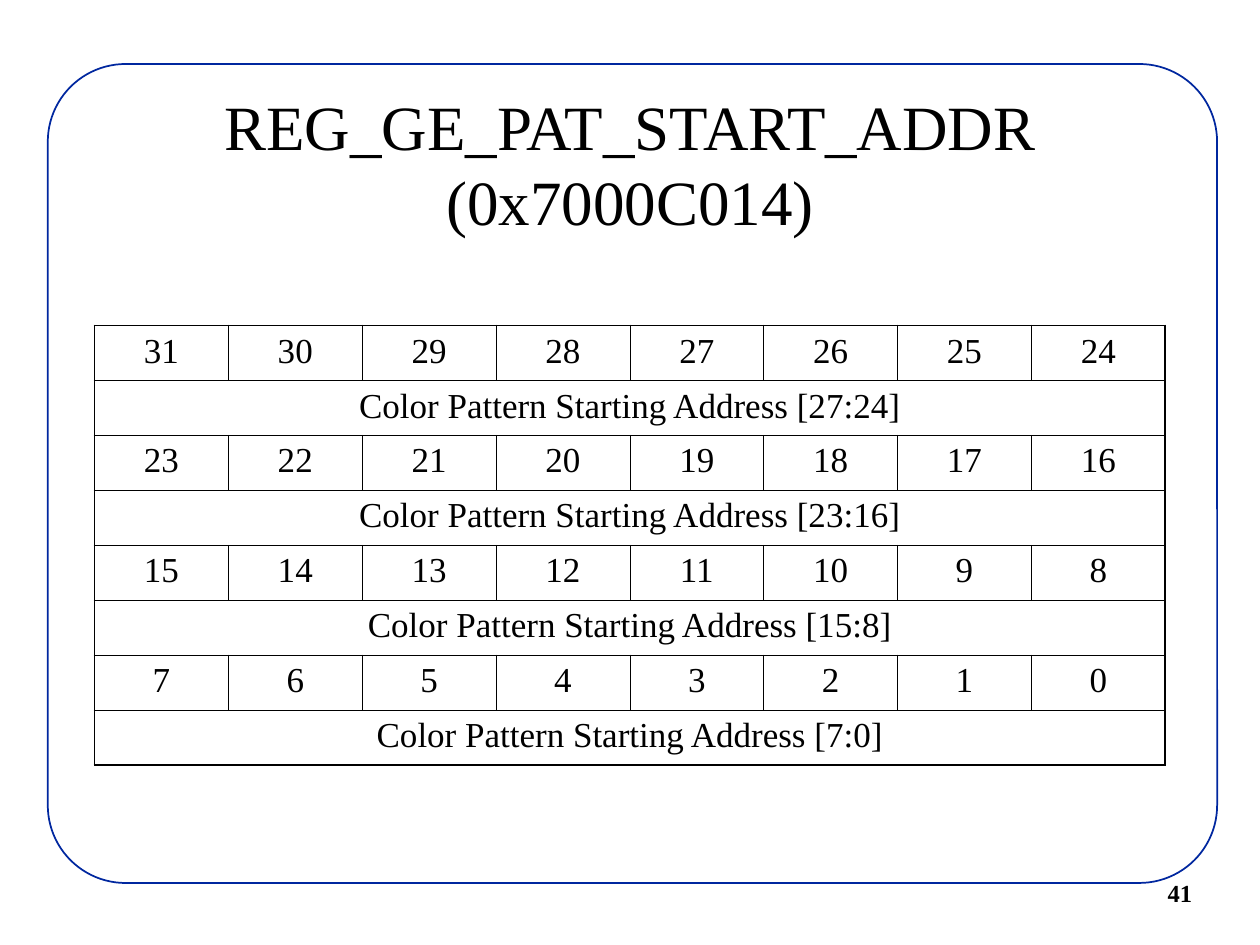
from lxml.etree import SubElement
from pptx import Presentation
from pptx.dml.color import RGBColor
from pptx.enum.shapes import MSO_SHAPE as Shape
from pptx.enum.text import MSO_ANCHOR as Anchor, MSO_AUTO_SIZE as AutoSize, PP_ALIGN as Align
from pptx.oxml.ns import qn
from pptx.util import Pt

COLORS = {"paper": "FFFFFF", "frame": "00279F", "ink": "000000"}
FONT = "Times New Roman"
BITS_PER_ROW = 8
FIELD_RANGES = ["27:24", "23:16", "15:8", "7:0"]
OUTER_LINE, INNER_LINE = 1.08, 0.45


def rgb(name):
    return RGBColor.from_string(COLORS[name])


def format_text(frame, size, align, bold=False):
    for para in frame.paragraphs:
        para.alignment = align
        for span in para.runs:
            for key, value in {"name": FONT, "size": Pt(size), "bold": bold}.items():
                setattr(span.font, key, value)
            span.font.color.rgb = rgb("ink")


def add_frame(page, left, top, width, height):
    box = page.shapes.add_shape(Shape.ROUNDED_RECTANGLE, Pt(left), Pt(top), Pt(width), Pt(height))
    box.adjustments[0] = 0.095
    box.shadow.inherit = False
    box.fill.solid()
    box.fill.fore_color.rgb = rgb("paper")
    box.line.color.rgb = rgb("frame")
    box.line.width = Pt(1)
    page.shapes._spTree.insert(2, box._element)


def place_title(page, text, left, top, width, height):
    title = page.shapes.title
    bounds = {"left": left, "top": top, "width": width, "height": height}
    for key, value in bounds.items():
        setattr(title, key, Pt(value))
    frame = title.text_frame
    frame.text = text
    settings = {"word_wrap": True, "auto_size": AutoSize.NONE, "vertical_anchor": Anchor.MIDDLE}
    for key, value in settings.items():
        setattr(frame, key, value)
    format_text(frame, 36, Align.CENTER)


def add_page_number(page, number, left, top, width, height):
    frame = page.shapes.add_textbox(Pt(left), Pt(top), Pt(width), Pt(height)).text_frame
    frame.word_wrap = True
    frame.text = str(number)
    format_text(frame, 14, Align.LEFT, bold=True)


def set_borders(cell, widths):
    properties = cell._tc.get_or_add_tcPr()
    for side, width in widths.items():
        line = SubElement(properties, qn(f"a:ln{side}"), w=str(Pt(width)))
        fill = SubElement(line, qn("a:solidFill"))
        SubElement(fill, qn("a:srgbClr"), val=COLORS["ink"])


def add_register_table(page, left, top, width, height):
    row_count = 2 * len(FIELD_RANGES)
    table = page.shapes.add_table(
        row_count, BITS_PER_ROW, Pt(left), Pt(top), Pt(width), Pt(height)).table
    table.first_row = table.horz_banding = False
    for column in table.columns:
        column.width = Pt(width / BITS_PER_ROW)
    for row in table.rows:
        row.height = Pt(height / row_count)

    for index, bits in enumerate(FIELD_RANGES):
        high_bit = BITS_PER_ROW * (len(FIELD_RANGES) - index) - 1
        for col in range(BITS_PER_ROW):
            table.cell(2 * index, col).text = str(high_bit - col)
        field = table.cell(2 * index + 1, 0)
        field.merge(table.cell(2 * index + 1, BITS_PER_ROW - 1))
        field.text = f"Color Pattern Starting Address [{bits}]"

    for row in range(row_count):
        for col in range(BITS_PER_ROW):
            cell = table.cell(row, col)
            at_edge = {
                "L": col == 0 or cell.is_spanned,
                "R": col == BITS_PER_ROW - 1 or cell.is_merge_origin,
                "T": row == 0,
                "B": row == row_count - 1,
            }
            set_borders(cell, {side: OUTER_LINE if edge else INNER_LINE
                               for side, edge in at_edge.items()})
            cell.fill.background()
            format_text(cell.text_frame, 20, Align.CENTER)


def main():
    deck = Presentation()
    deck.slide_width, deck.slide_height = Pt(720), Pt(540)
    page = deck.slides.add_slide(deck.slide_layouts[5])
    page.background.fill.solid()
    page.background.fill.fore_color.rgb = rgb("paper")
    add_frame(page, 27.3, 36.6, 668.2, 468)
    add_page_number(page, 41, 660.2, 498.2, 78, 24)
    place_title(page, "REG_GE_PAT_START_ADDR\v(0x7000C014)", 54, 48, 612, 90)
    add_register_table(page, 54, 186, 612, 251.2)
    deck.save("out.pptx")


if __name__ == "__main__":
    main()
